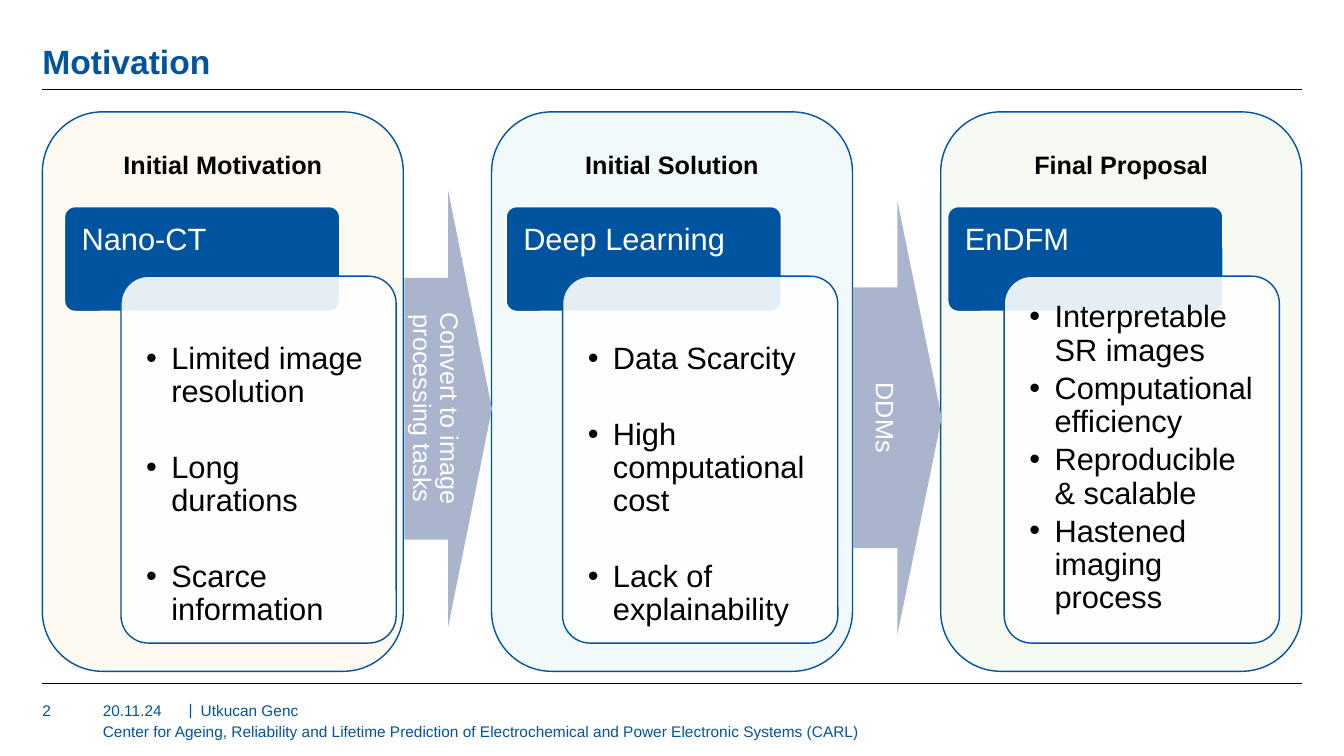
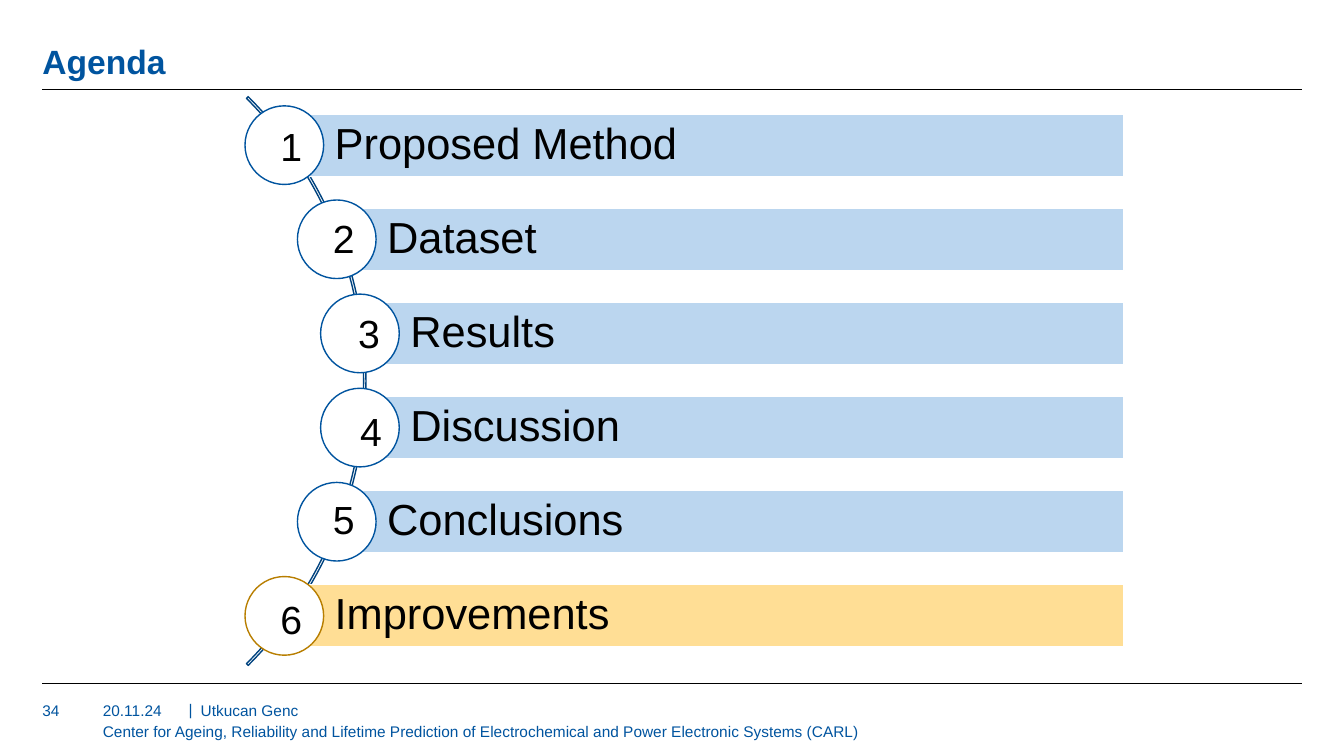
from lxml.etree import SubElement
from pptx import Presentation
from pptx.dml.color import RGBColor
from pptx.enum.shapes import MSO_CONNECTOR, MSO_SHAPE
from pptx.enum.text import MSO_ANCHOR, PP_ALIGN
from pptx.oxml.ns import qn
from pptx.util import Inches, Pt

C = {
    "blue": "00549F", "black": "000000", "white": "FFFFFF", "arrow": "ABB4CD",
    "orange": "F6A800", "teal": "0098A1", "green": "57AB27", "arc": "00437F",
    "bar": "BBD6EF", "active": "FFDE95", "active_line": "B87E00",
}


def add_shape(s, kind, box, fill=None, line=None, alpha=None, adj=()):
    sp = s.shapes.add_shape(kind, *[Inches(v) for v in box])
    sp.shadow.inherit = False
    for i, value in enumerate(adj):
        sp.adjustments[i] = value
    if fill:
        sp.fill.solid()
        sp.fill.fore_color.rgb = RGBColor.from_string(C[fill])
        if alpha:
            clr = sp.fill._xPr.find(qn("a:solidFill"))[0]
            SubElement(clr, qn("a:alpha"), val=str(alpha * 1000))
    else:
        sp.fill.background()
    if line:
        sp.line.color.rgb = RGBColor.from_string(C[line])
        sp.line.width = Pt(1)
    else:
        sp.line.fill.background()
    return sp


def add_text(sp, lines, size, color, ins=(0, 0, 0, 0), anchor=MSO_ANCHOR.TOP,
             align=PP_ALIGN.LEFT, bold=False, spacing=None, gap=0, bullet=False, wrap=True):
    tf = sp.text_frame
    tf.word_wrap = wrap
    tf.vertical_anchor = anchor
    tf.margin_left, tf.margin_top, tf.margin_right, tf.margin_bottom = [Inches(v) for v in ins]
    for i, line in enumerate(lines):
        p = tf.add_paragraph() if i else tf.paragraphs[0]
        p.alignment = align
        p.line_spacing = spacing
        p.space_before = Pt(gap if i else 0)
        if bullet:
            pPr = p._p.get_or_add_pPr()
            pPr.set("marL", str(Inches(0.25)))
            pPr.set("indent", str(-Inches(0.25)))
            SubElement(pPr, qn("a:buFont"), typeface="Arial")
            SubElement(pPr, qn("a:buChar"), char="•")
        r = p.add_run()
        r.text = line
        r.font.name = "Arial"
        r.font.size = Pt(size)
        r.font.bold = bold
        r.font.color.rgb = RGBColor.from_string(C[color])


prs = Presentation()
prs.slide_width, prs.slide_height = Inches(13.33), Inches(7.5)

center = "Center for Ageing, Reliability and Lifetime Prediction of Electrochemical and Power Electronic Systems (CARL)"
slides = []
for title, number in [("Motivation", "2"), ("Agenda", "34")]:
    s = prs.slides.add_slide(prs.slide_layouts[6])
    slides.append(s)
    for y in (0.89, 6.78):
        rule = s.shapes.add_connector(MSO_CONNECTOR.STRAIGHT, Inches(0.42), Inches(y), Inches(12.91), Inches(y))
        rule.line.color.rgb = RGBColor.from_string(C["black"])
        rule.line.width = Pt(0.5)
        SubElement(rule._element.spPr, qn("a:effectLst"))
    tb = s.shapes.add_textbox(Inches(0.42), Inches(0.22), Inches(12.49), Inches(0.59))
    add_text(tb, [title], 24, "blue", anchor=MSO_ANCHOR.BOTTOM, bold=True, spacing=0.9)
    for text, x, y, w in [(number, 0.42, 6.96, 0.5), ("20.11.24", 1.02, 6.96, 0.8), ("|", 1.87, 6.95, 0.04),
                          ("Utkucan Genc", 1.99, 6.96, 4.8), (center, 1.02, 7.16, 7.56)]:
        tb = s.shapes.add_textbox(Inches(x), Inches(y), Inches(w), Inches(0.19))
        add_text(tb, [text], 11, "blue", wrap=False)

s = slides[0]
columns = [
    ("Initial Motivation", "orange", "Nano-CT", 0.58, 30.5,
     ["Limited image resolution", "Long durations", "Scarce information"]),
    ("Initial Solution", "teal", "Deep Learning", 0.58, 30.5,
     ["Data Scarcity", "High computational cost", "Lack of explainability"]),
    ("Final Proposal", "green", "EnDFM", 0.17, 3.5,
     ["Interpretable SR images", "Computational efficiency", "Reproducible & scalable", "Hastened imaging process"]),
]
column_step = (9.33 - 0.42) / 2
for i, (heading, tint, label, top, gap, points) in enumerate(columns):
    sp = add_shape(s, MSO_SHAPE.ROUNDED_RECTANGLE, (0.42 + column_step * i, 1.11, 3.58, 5.55), tint, "blue", alpha=5)
    add_text(sp, [heading], 18, "black", ins=(0, 0.2, 0, 0), align=PP_ALIGN.CENTER, bold=True)
    x = 0.64 + 4.38 * i
    sp = add_shape(s, MSO_SHAPE.ROUNDED_RECTANGLE, (x, 2.05, 2.73, 1.04), "blue", "white", adj=[0.1])
    add_text(sp, [label], 22, "white", ins=(0.14, 0.14, 0.14, 0), spacing=0.9)
    sp = add_shape(s, MSO_SHAPE.ROUNDED_RECTANGLE, (x + 0.56, 2.74, 2.73, 3.64), "white", "blue", alpha=90, adj=[0.1])
    add_text(sp, points, 22, "black", ins=(0.17, top, 0.17, 0), spacing=0.9, gap=gap, bullet=True)

for text, box in [("Convert to image processing tasks", (4.01, 1.89, 0.87, 4.33)),
                  ("DDMs", (8.46, 1.99, 0.88, 4.31))]:
    sp = add_shape(s, MSO_SHAPE.RIGHT_ARROW, box, "arrow", adj=[0.6, 0.5])
    add_text(sp, [text], 18, "white", anchor=MSO_ANCHOR.MIDDLE, align=PP_ALIGN.CENTER, spacing=0.9)
    sp.text_frame._txBody.bodyPr.set("vert", "vert")

s = slides[1]
add_shape(s, MSO_SHAPE.BLOCK_ARC, (-4.35, -0.21, 7.98, 7.98), line="arc", adj=[189, 27, 0.003])
agenda = [
    ("Proposed Method", 2.82, 2.89, 1.16), ("Dataset", 3.34, 3.41, 2.07), ("Results", 3.57, 3.66, 3.02),
    ("Discussion", 3.57, 3.68, 3.99), ("Conclusions", 3.34, 3.41, 4.86), ("Improvements", 2.82, 2.89, 5.85),
]
bar_step = (5.8 - 1.13) / 5
for i, (topic, x, number_x, number_y) in enumerate(agenda):
    active = topic == "Improvements"
    y = 1.13 + bar_step * i
    bar = add_shape(s, MSO_SHAPE.RECTANGLE, (x, y, 11.15 - x, 0.62), "active" if active else "bar", "white")
    add_text(bar, [topic], 31, "black", ins=(0.5, 0.09, 0.09, 0.09), anchor=MSO_ANCHOR.MIDDLE, spacing=0.9)
    add_shape(s, MSO_SHAPE.OVAL, (x - 0.39, y - 0.08, 0.78, 0.78), "white", "active_line" if active else "blue")
    tb = s.shapes.add_textbox(Inches(number_x - 0.2), Inches(number_y), Inches(0.4), Inches(0.57))
    add_text(tb, [str(i + 1)], 28, "black", anchor=MSO_ANCHOR.MIDDLE, align=PP_ALIGN.CENTER)

prs.save("out.pptx")
